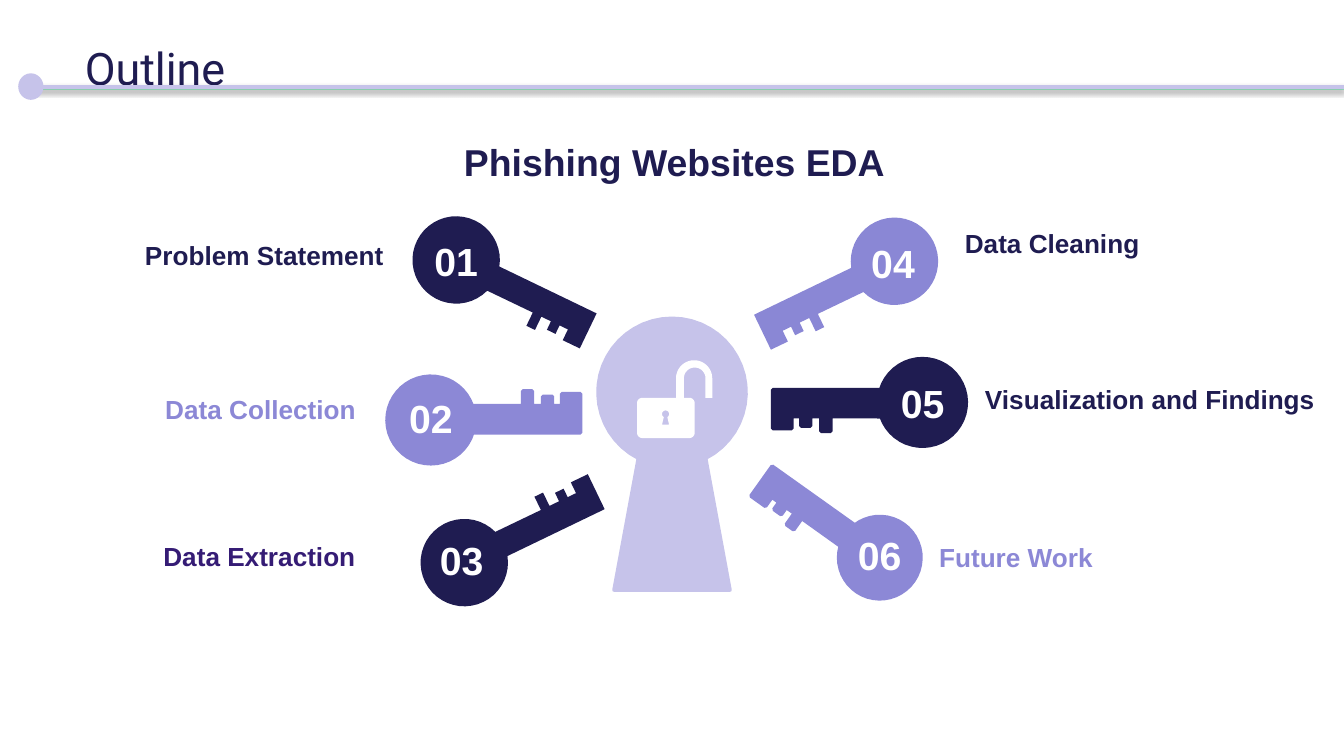
from collections import namedtuple
from math import cos, radians, sin

from lxml import etree
from pptx import Presentation
from pptx.dml.color import RGBColor
from pptx.enum.shapes import MSO_CONNECTOR, MSO_SHAPE
from pptx.enum.text import MSO_ANCHOR, MSO_AUTO_SIZE, PP_ALIGN
from pptx.oxml import parse_xml
from pptx.oxml.ns import nsdecls, qn
from pptx.util import Pt

LEFT, CENTER = PP_ALIGN.LEFT, PP_ALIGN.CENTER
TOP, MIDDLE = MSO_ANCHOR.TOP, MSO_ANCHOR.MIDDLE
NAVY = RGBColor(0x1F, 0x1C, 0x51)
VIOLET = RGBColor(0x8C, 0x88, 0xD6)
SOFT_VIOLET = RGBColor(0x8A, 0x87, 0xD5)
PURPLE = RGBColor(0x35, 0x1C, 0x75)
LAVENDER = RGBColor(0xC6, 0xC3, 0xEA)
MINT = RGBColor(0xAC, 0xFF, 0xD9)
WHITE = RGBColor(0xFF, 0xFF, 0xFF)

TITLE = "Outline"
HEADING = "Phishing Websites EDA"
Topic = namedtuple(
    "Topic",
    "number number_at label label_box align label_color center scale mirrored angle key_color outline",
)
TOPICS = [
    Topic("01", (224.6, 123.8), "Problem Statement", (70.6, 124.6, 168.5), LEFT, NAVY,
          (270, 151.6), 1, True, 25.7, NAVY, 0),
    Topic("02", (211, 207.4), "Data Collection", (81.4, 207.4, 145.4), LEFT, VIOLET,
          (259.2, 225), 1, False, 180, VIOLET, 2),
    Topic("03", (227.5, 283.7), "Data Extraction", (70.6, 285.8, 136.8), CENTER, PURPLE,
          (274.3, 289.1), 1, False, 154.3, NAVY, 0),
    Topic("04", (458.6, 124.6), "Data Cleaning", (509.8, 118.1, 141.1), LEFT, NAVY,
          (453.6, 152.3), 1, False, 334.3, SOFT_VIOLET, 0),
    Topic("05", (474.5, 199.4), "Visualization and Findings", (520.6, 201.6, 199.4), LEFT, NAVY,
          (465.8, 215.6), 1, False, 0, NAVY, 2),
    Topic("06", (451.4, 280.8), "Future Work", (456.5, 286.6, 175.7), CENTER, VIOLET,
          (449.6, 283.3), 0.94, False, 35.5, VIOLET, 2),
]


def arc(x, y, radius, start, end, steps=40):
    angles = [radians(start + (end - start) * i / steps) for i in range(steps + 1)]
    return [(x + radius * cos(a), y + radius * sin(a)) for a in angles]


KEY_WIDTH, KEY_HEIGHT = 103.6, 46.8
KEY = arc(80.2, 23.4, 23.4, 197, 521) + [
    (31, 31), (31, 38.9), (25.9, 38.9), (25.9, 31), (20.2, 31), (20.2, 36),
    (15.1, 36), (15.1, 31), (10.1, 31), (10.1, 37.4), (0, 37.4), (0, 16.6),
]
KEYHOLE = arc(360, 210.2, 39.6, 117, 423) + [(391, 316.1), (329, 316.1)]
PADLOCK_BODY = (
    arc(344.2, 216, 2.9, 180, 270, 6)
    + [(362.2, 213.1)] + arc(371.9, 202.7, 9.7, 180, 360)
    + [(381.6, 213.1), (378, 213.1)] + arc(372.2, 202.7, 5.8, 360, 180)
    + [(366.4, 213.1)] + arc(369.3, 216, 2.9, 270, 360, 6)
    + arc(369.3, 231.8, 2.9, 0, 90, 6) + arc(344.2, 231.8, 2.9, 90, 180, 6)
)
PADLOCK_SLOT = arc(356.6, 221.8, 1.9, 120, 420) + [(358.5, 227.5), (354.7, 227.5)]


def paint(shape, color, outline):
    shape.shadow.inherit = False
    shape.fill.solid()
    shape.fill.fore_color.rgb = color
    if outline:
        shape.line.color.rgb = color
        shape.line.width = Pt(outline)
    else:
        shape.line.fill.background()


def add_outline_shape(page, contours, color, outline=0):
    contours = [[(Pt(x), Pt(y)) for x, y in contour] for contour in contours]
    builder = page.shapes.build_freeform(*contours[0][0])
    builder.add_line_segments(contours[0][1:], close=True)
    for contour in contours[1:]:
        builder.move_to(*contour[0])
        builder.add_line_segments(contour[1:], close=True)
    shape = builder.convert_to_shape()
    paint(shape, color, outline)
    return shape


def add_key(page, topic):
    side = -1 if topic.mirrored else 1
    center_x, center_y = topic.center
    points = [
        (center_x + side * topic.scale * (x - KEY_WIDTH / 2),
         center_y + topic.scale * (y - KEY_HEIGHT / 2))
        for x, y in KEY
    ]
    key = add_outline_shape(page, [points], topic.key_color, topic.outline)
    key.rotation = topic.angle


def add_text(page, text, bounds, size, color, align=CENTER, anchor=MIDDLE):
    box = page.shapes.add_textbox(*map(Pt, bounds))
    frame = box.text_frame
    frame.word_wrap = True
    frame.auto_size = MSO_AUTO_SIZE.SHAPE_TO_FIT_TEXT
    frame.vertical_anchor = anchor
    para = frame.paragraphs[0]
    para.text = text
    para.alignment = align
    para.font.name = "Arial"
    para.font.size = Pt(size)
    para.font.bold = True
    para.font.color.rgb = color


def add_rule(page, left, y, color, width, shadowed):
    rule = page.shapes.add_connector(MSO_CONNECTOR.STRAIGHT, Pt(left), Pt(y), Pt(720), Pt(y))
    rule.line.color.rgb = color
    rule.line.width = Pt(width)
    effects = etree.SubElement(rule._element.spPr, qn("a:effectLst"))
    if shadowed:
        effects.append(parse_xml(
            f'<a:outerShdw {nsdecls("a")} blurRad="{Pt(3.1)}" dist="{Pt(1.6)}" dir="5400000">'
            '<a:srgbClr val="000000"><a:alpha val="38000"/></a:srgbClr></a:outerShdw>'
        ))


def add_title(page):
    title = page.shapes.title
    title.left, title.top, title.width, title.height = map(Pt, (38.2, 14.4, 478.8, 42.5))
    frame = title.text_frame
    frame.margin_left = frame.margin_right = frame.margin_top = frame.margin_bottom = Pt(7.2)
    frame.vertical_anchor = TOP
    frame.auto_size = MSO_AUTO_SIZE.NONE
    para = frame.paragraphs[0]
    para.text = TITLE
    para.alignment = LEFT
    para.font.name = "Roboto"
    para.font.size = Pt(24)
    para.font.color.rgb = NAVY


def main():
    deck = Presentation()
    deck.slide_width, deck.slide_height = Pt(720), Pt(405)
    page = deck.slides.add_slide(deck.slide_layouts[5])
    add_rule(page, 19.4, 47.5, MINT, 1.5, False)
    add_rule(page, 16.6, 46.8, LAVENDER, 2, True)
    dot = page.shapes.add_shape(MSO_SHAPE.OVAL, Pt(10.8), Pt(40.3), Pt(11.5), Pt(12.2))
    paint(dot, LAVENDER, 2)
    add_title(page)
    add_text(page, HEADING, (239, 70.6, 244.8, 31.7), 20, NAVY)
    add_outline_shape(page, [KEYHOLE], LAVENDER, 2)
    add_outline_shape(page, [PADLOCK_BODY, PADLOCK_SLOT], WHITE)
    for topic in TOPICS:
        add_key(page, topic)
        add_text(page, topic.number, (*topic.number_at, 39.6, 32.4), 21, WHITE)
        add_text(page, topic.label, (*topic.label_box, 24.5), 14,
                 topic.label_color, topic.align, TOP)
    deck.save("out.pptx")


if __name__ == "__main__":
    main()
